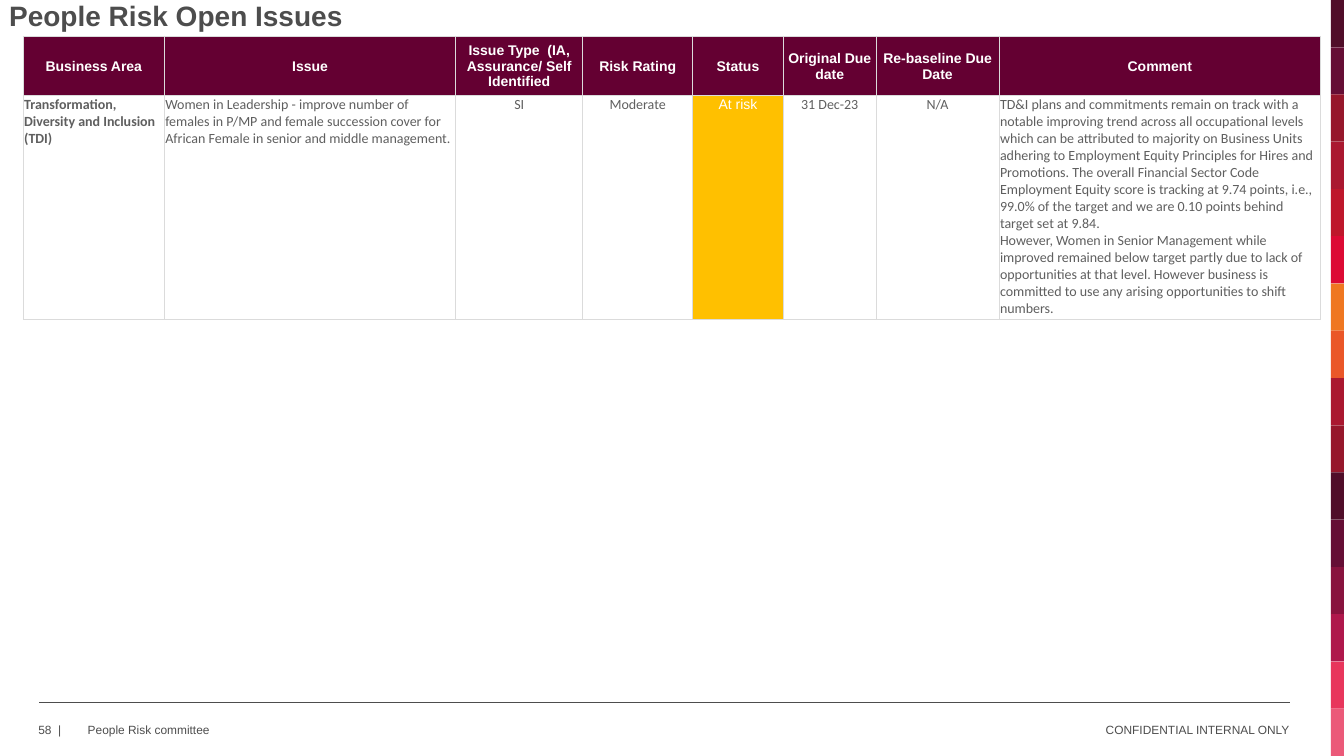
from dataclasses import dataclass

from lxml import etree
from pptx import Presentation
from pptx.dml.color import RGBColor
from pptx.enum import shapes, text
from pptx.oxml import ns
from pptx.util import Inches, Pt


@dataclass(frozen=True)
class Theme:
    heading_font: str = "Arial"
    body_font: str = "Calibri"
    ink: str = "4D4D4D"
    body: str = "5F5F5F"
    white: str = "FFFFFF"
    header: str = "640032"
    amber: str = "FFC000"
    border: str = "DBDBDB"
    strip: tuple = (
        "500D29", "650E35", "96172B", "AA1830", "BE172B", "DC0A34", "EF7721", "EA5728",
        "AA1830", "96172B", "500D29", "650E35", "88133E", "AF184C", "E8365C", "EB5A79",
    )
    title_size: float = 20
    table_size: float = 10
    footer_size: float = 8.5


theme = Theme()
LEFT, CENTER, RIGHT = text.PP_ALIGN.LEFT, text.PP_ALIGN.CENTER, text.PP_ALIGN.RIGHT
MIDDLE, TOP, BOTTOM = text.MSO_ANCHOR.MIDDLE, text.MSO_ANCHOR.TOP, text.MSO_ANCHOR.BOTTOM


def write(frame, content, font_name, size, color, bold=False, align=LEFT):
    frame.word_wrap = True
    frame.text = content
    for paragraph in frame.paragraphs:
        paragraph.alignment = align
        paragraph.font.name = font_name
        paragraph.font.size = Pt(size)
        paragraph.font.bold = bold
        paragraph.font.color.rgb = RGBColor.from_string(color)


def add_text(left, top, width, height, content, size, anchor, margins=(0, 0, 0, 0), **style):
    frame = slide.shapes.add_textbox(Inches(left), Inches(top), Inches(width), Inches(height)).text_frame
    frame.margin_left, frame.margin_top, frame.margin_right, frame.margin_bottom = map(Inches, margins)
    frame.vertical_anchor = anchor
    write(frame, content, theme.heading_font, size, theme.ink, **style)
    return frame


presentation = Presentation()
presentation.slide_width, presentation.slide_height = Inches(13.33), Inches(7.5)
slide = presentation.slides.add_slide(presentation.slide_layouts[6])

block_height = 7.5 / len(theme.strip)
for index, color in enumerate(theme.strip):
    block = slide.shapes.add_shape(
        shapes.MSO_SHAPE.RECTANGLE,
        Inches(13.2), Inches(index * block_height), Inches(0.13), Inches(block_height),
    )
    block.shadow.inherit = False
    block.fill.solid()
    block.fill.fore_color.rgb = RGBColor.from_string(color)
    block.line.fill.background()

footer_line = slide.shapes.add_connector(
    shapes.MSO_CONNECTOR.STRAIGHT, Inches(0.39), Inches(6.97), Inches(12.79), Inches(6.97)
)
footer_line.line.color.rgb = RGBColor.from_string(theme.ink)
footer_line.line.width = Pt(1)
etree.SubElement(footer_line._element.spPr, ns.qn("a:effectLst"))

for left, width, content, align in (
    (0.38, 0.44, "58  |", LEFT),
    (0.87, 5.51, "People Risk committee", LEFT),
    (7.28, 5.51, "CONFIDENTIAL INTERNAL ONLY", RIGHT),
):
    add_text(left, 7.15, width, 0.17, content, theme.footer_size, MIDDLE, align=align)

title = add_text(0.09, -0.02, 12.39, 0.39, "People Risk Open Issues", theme.title_size, BOTTOM,
                 margins=(0, 0.05, 0.1, 0.05), bold=True)
title.paragraphs[0].line_spacing = 0.9

columns = (
    (1.4, "Business Area", "Transformation, Diversity and Inclusion (TDI)", LEFT),
    (2.89, "Issue",
     "Women in Leadership - improve number of females in P/MP and female succession cover "
     "for African Female in senior and middle management.", LEFT),
    (1.26, "Issue Type  (IA, Assurance/ Self Identified", "SI", CENTER),
    (1.09, "Risk Rating", "Moderate", CENTER),
    (0.9, "Status", "At risk", CENTER),
    (0.92, "Original Due date", "31 Dec-23", CENTER),
    (1.22, "Re-baseline Due Date", "N/A", CENTER),
    (3.19, "Comment",
     "TD&I plans and commitments remain on track with a notable improving trend across all "
     "occupational levels which can be attributed to majority on Business Units adhering to "
     "Employment Equity Principles for Hires and Promotions. The overall Financial Sector Code "
     "Employment Equity score is tracking at 9.74 points, i.e., 99.0% of the target and we are "
     "0.10 points behind target set at 9.84.\n"
     "However, Women in Senior Management while improved remained below target partly due to "
     "lack of opportunities at that level. However business is committed to use any arising "
     "opportunities to shift numbers.", LEFT),
)
table = slide.shapes.add_table(
    2, len(columns), Inches(0.23), Inches(0.36), Inches(12.87), Inches(2.81)
).table
table.first_row = table.horz_banding = False
table.rows[0].height, table.rows[1].height = Inches(0.59), Inches(2.22)

for index, (width, heading, content, align) in enumerate(columns):
    table.columns[index].width = Inches(width)
    header_cell, body_cell = table.cell(0, index), table.cell(1, index)
    write(header_cell.text_frame, heading, theme.heading_font, theme.table_size, theme.white, True, CENTER)
    header_cell.vertical_anchor = MIDDLE
    header_cell.fill.solid()
    header_cell.fill.fore_color.rgb = RGBColor.from_string(theme.header)

    body_cell.vertical_anchor = TOP
    if heading == "Status":
        write(body_cell.text_frame, content, theme.heading_font, theme.table_size, theme.white, align=align)
        body_cell.fill.solid()
        body_cell.fill.fore_color.rgb = RGBColor.from_string(theme.amber)
    else:
        write(body_cell.text_frame, content, theme.body_font, theme.table_size, theme.body,
              heading == "Business Area", align)
        body_cell.fill.background()

for cell in table.iter_cells():
    cell.margin_left = cell.margin_top = cell.margin_right = Inches(0.01)
    cell.margin_bottom = 0
    properties = cell._tc.get_or_add_tcPr()
    for position, side in enumerate(("lnL", "lnR", "lnT", "lnB")):
        border = etree.Element(ns.qn(f"a:{side}"), w=str(Pt(0.5)))
        fill = etree.SubElement(border, ns.qn("a:solidFill"))
        etree.SubElement(fill, ns.qn("a:srgbClr"), val=theme.border)
        properties.insert(position, border)

presentation.save("out.pptx")
